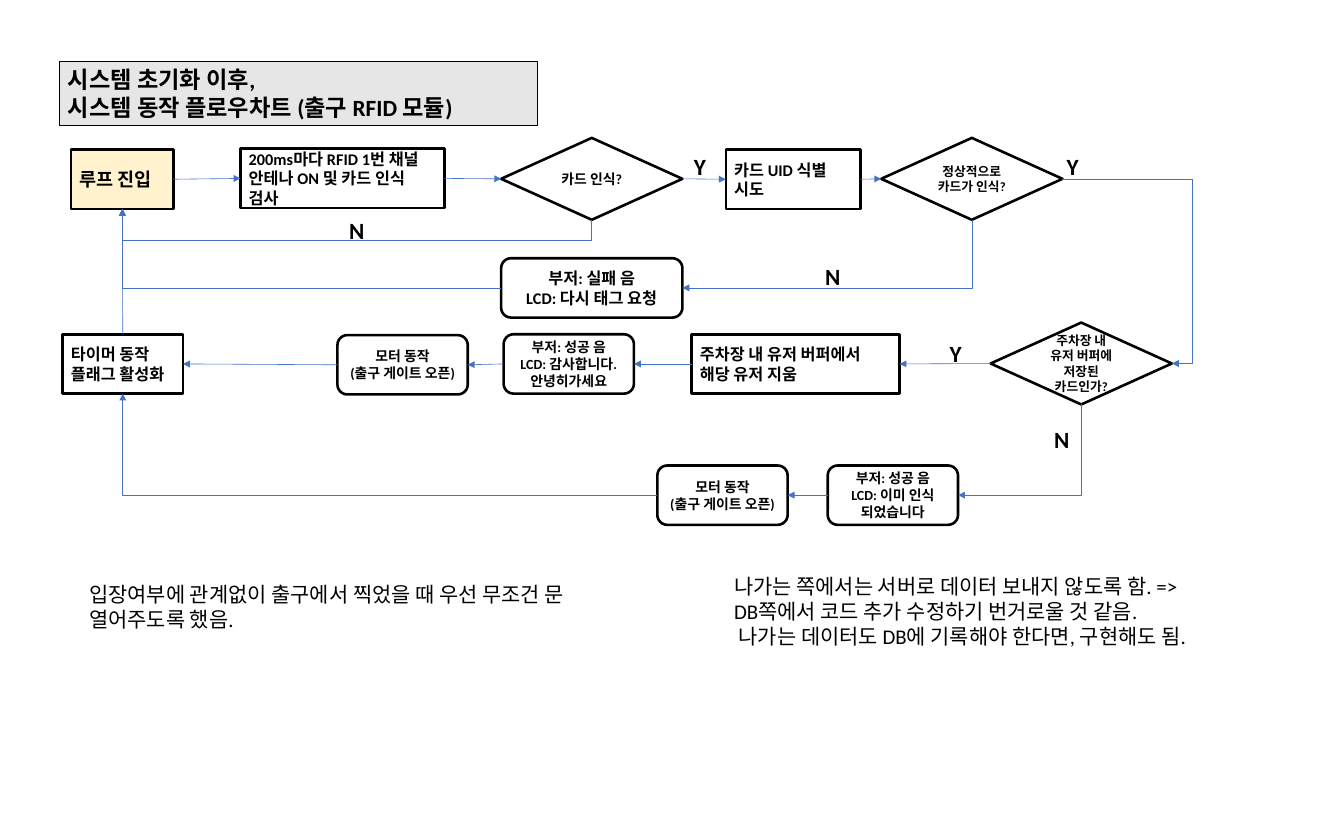
from lxml import etree
from pptx import Presentation
from pptx.dml.color import RGBColor
from pptx.enum import shapes, text
from pptx.oxml import ns
from pptx.util import Inches, Pt

FONT = "Calibri"
BLACK, WHITE, GRAY, CREAM, BLUE = "000000", "FFFFFF", "E7E6E6", "FFF2CC", "4472C4"
TOP, LEFT, BOTTOM, RIGHT = range(4)
RECT = shapes.MSO_SHAPE.RECTANGLE
ROUND = shapes.MSO_SHAPE.ROUNDED_RECTANGLE
DIAMOND = shapes.MSO_SHAPE.DIAMOND
BOX_HEIGHT = 0.71
DIAMOND_SIZE = (2.17, 0.98)
ACTION_WIDTH = 1.56
LOOP_BEND = 0.25
RIGHT_BEND = 1.55


def color(value):
    return RGBColor.from_string(value)


def write(shape, lines, size, bold=True, align=text.PP_ALIGN.LEFT,
          anchor=text.MSO_ANCHOR.TOP):
    frame = shape.text_frame
    frame.word_wrap = True
    frame.vertical_anchor = anchor
    frame.text = "\n".join(lines)
    for paragraph in frame.paragraphs:
        paragraph.alignment = align
        font = paragraph.font
        font.name, font.size, font.bold = FONT, Pt(size), bold
        font.color.rgb = color(BLACK)


def outline(shape, fill, width):
    shape.fill.solid()
    shape.fill.fore_color.rgb = color(fill)
    shape.line.color.rgb = color(BLACK)
    shape.line.width = Pt(width)


def add_title(slide, lines):
    title = slide.shapes.title
    title.left, title.top = Inches(0.71), Inches(0.73)
    title.width, title.height = Inches(5.73), Inches(0.77)
    outline(title, GRAY, 0.75)
    write(title, lines, 20)
    title.text_frame.auto_size = text.MSO_AUTO_SIZE.NONE


def add_step(slide, kind, left, top, width, lines, size,
             height=BOX_HEIGHT, fill=WHITE):
    step = slide.shapes.add_shape(
        kind, Inches(left), Inches(top), Inches(width), Inches(height))
    step.shadow.inherit = False
    outline(step, fill, 2.25)
    align = text.PP_ALIGN.LEFT if kind == RECT else text.PP_ALIGN.CENTER
    write(step, lines, size, align=align, anchor=text.MSO_ANCHOR.MIDDLE)
    return step


def add_decision(slide, left, top, question, size):
    width, height = DIAMOND_SIZE
    return add_step(slide, DIAMOND, left, top, width, [question], size, height)


def add_text(slide, left, top, width, height, lines, size, bold):
    box = slide.shapes.add_textbox(
        Inches(left), Inches(top), Inches(width), Inches(height))
    write(box, lines, size, bold)


def add_arrow(slide, start, start_side, end, end_side,
              kind=shapes.MSO_CONNECTOR.STRAIGHT):
    arrow = slide.shapes.add_connector(kind, 0, 0, 0, 0)
    arrow.begin_connect(start, start_side)
    arrow.end_connect(end, end_side)
    arrow.line.color.rgb = color(BLUE)
    arrow.line.width = Pt(0.5)
    properties = arrow._element.spPr
    line = properties.find(ns.qn("a:ln"))
    etree.SubElement(line, ns.qn("a:tailEnd"), type="triangle")
    etree.SubElement(properties, ns.qn("a:effectLst"))
    return arrow


def add_elbow(slide, start, start_side, end, end_side, bend=None):
    """Route with one corner, or with two when bend gives the first leg's length."""
    arrow = add_arrow(slide, start, start_side, end, end_side,
                      shapes.MSO_CONNECTOR.ELBOW)
    properties = arrow._element.spPr
    dx, dy = arrow.end_x - arrow.begin_x, arrow.end_y - arrow.begin_y
    first_leg = dx
    if start_side == BOTTOM:
        first_leg = dy
        rotate_to_vertical(arrow, dx, dy)
    geometry = properties.find(ns.qn("a:prstGeom"))
    if bend is None:
        geometry.set("prst", "bentConnector2")
    else:
        guides = geometry.find(ns.qn("a:avLst"))
        ratio = round(Inches(bend) / first_leg * 100000)
        etree.SubElement(guides, ns.qn("a:gd"), name="adj1", fmla=f"val {ratio}")


def rotate_to_vertical(arrow, dx, dy):
    """Turn the connector a quarter so that its first leg runs vertically."""
    center_x = (arrow.begin_x + arrow.end_x) // 2
    center_y = (arrow.begin_y + arrow.end_y) // 2
    arrow.width, arrow.height = abs(dy), abs(dx)
    arrow.left, arrow.top = center_x - abs(dy) // 2, center_y - abs(dx) // 2
    transform = arrow._element.spPr.find(ns.qn("a:xfrm"))
    transform.set("rot", str(90 * 60000))
    transform.set("flipH", str(int(dy < 0)))
    transform.set("flipV", str(int(dx > 0)))


def main():
    presentation = Presentation()
    presentation.slide_width, presentation.slide_height = Inches(16.09), Inches(9.86)
    slide = presentation.slides.add_slide(presentation.slide_layouts[5])
    add_title(slide, ["시스템 초기화 이후,", "시스템 동작 플로우차트 (출구 RFID 모듈)"])

    loop = add_step(slide, RECT, 0.85, 1.79, 1.23, ["루프 진입"], 16, fill=CREAM)
    scan = add_step(slide, RECT, 2.88, 1.78, 2.44,
                    ["200ms마다 RFID 1번 채널 안테나 ON 및 카드 인식 검사"], 14)
    detected = add_decision(slide, 6, 1.65, "카드 인식?", 12)
    identify = add_step(slide, RECT, 8.69, 1.79, 1.61, ["카드 UID 식별 시도"], 14)
    valid = add_decision(slide, 10.55, 1.65, "정상적으로 카드가 인식?", 11)
    failure = add_step(slide, ROUND, 6, 3.09, 2.17,
                       ["부저: 실패 음", "LCD: 다시 태그 요청"], 14)
    stored = add_decision(slide, 11.86, 3.86,
                          "주차장 내 유저 버퍼에 저장된 카드인가?", 11)
    erase = add_step(slide, RECT, 8.28, 4, 2.49,
                     ["주차장 내 유저 버퍼에서 해당 유저 지움"], 14)
    timer = add_step(slide, RECT, 0.75, 4, 1.44, ["타이머 동작 플래그 활성화"], 14)

    goodbye, already = [
        add_step(slide, ROUND, left, top, ACTION_WIDTH, ["부저: 성공 음", message], 12)
        for left, top, message in [(6.03, 4, "LCD: 감사합니다. 안녕히가세요"),
                                   (9.91, 5.57, "LCD: 이미 인식 되었습니다")]]
    gate, second_gate = [
        add_step(slide, ROUND, left, top, ACTION_WIDTH,
                 ["모터 동작", "(출구 게이트 오픈)"], 12)
        for left, top in [(4.04, 4.01), (7.87, 5.57)]]

    top_row = [loop, scan, detected, identify, valid]
    for start, end in zip(top_row, top_row[1:]):
        add_arrow(slide, start, RIGHT, end, LEFT)
    middle_row = [stored, erase, goodbye, gate, timer]
    for start, end in [*zip(middle_row, middle_row[1:]), (already, second_gate)]:
        add_arrow(slide, start, LEFT, end, RIGHT)
    add_arrow(slide, timer, TOP, loop, BOTTOM)

    add_elbow(slide, detected, BOTTOM, loop, BOTTOM, LOOP_BEND)
    add_elbow(slide, valid, BOTTOM, failure, RIGHT)
    add_elbow(slide, failure, LEFT, loop, BOTTOM)
    add_elbow(slide, valid, RIGHT, stored, RIGHT, RIGHT_BEND)
    add_elbow(slide, stored, BOTTOM, already, RIGHT)
    add_elbow(slide, second_gate, LEFT, timer, BOTTOM)

    for answer, left, top in [("Y", 8.21, 1.77), ("Y", 12.67, 1.77), ("Y", 11.27, 4.01),
                              ("N", 4.08, 2.54), ("N", 9.78, 3.09), ("N", 12.52, 5.04)]:
        add_text(slide, left, top, 0.39, 0.44, [answer], 20, True)

    add_text(slide, 8.69, 6.81, 6.62, 1.01,
             ["나가는 쪽에서는 서버로 데이터 보내지 않도록 함. =>",
              "DB쪽에서 코드 추가 수정하기 번거로울 것 같음.",
              " 나가는 데이터도 DB에 기록해야 한다면, 구현해도 됨."], 18, False)
    add_text(slide, 0.97, 6.91, 6.62, 0.71,
             ["입장여부에 관계없이 출구에서 찍었을 때 우선 무조건 문 열어주도록 했음."],
             18, False)
    presentation.save("out.pptx")


if __name__ == "__main__":
    main()
